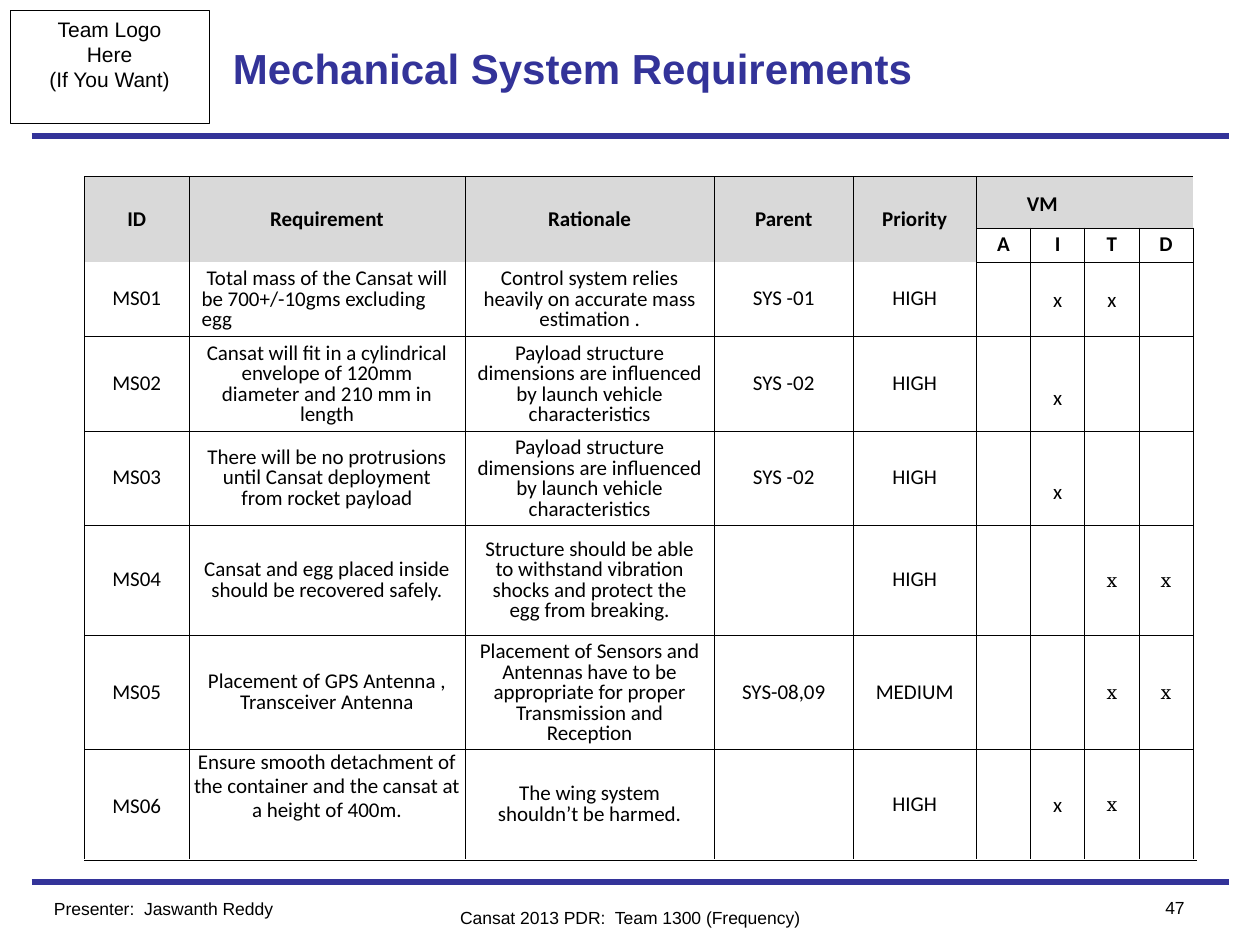
"""Build the mechanical system requirements slide."""
from lxml.etree import SubElement as Sub
from pptx import Presentation
from pptx.dml.color import RGBColor
from pptx.enum.shapes import MSO_CONNECTOR as Link, MSO_SHAPE as Shape
from pptx.enum.text import MSO_ANCHOR as Anchor, PP_ALIGN as Align
from pptx.oxml.ns import qn
from pptx.util import Inches, Pt

BLACK = RGBColor(0x00, 0x00, 0x00)
BLUE = RGBColor(0x33, 0x33, 0x99)
GRAY = RGBColor(0xD9, 0xD9, 0xD9)
PLAIN = "{2D5ABB26-0587-4C30-8999-92F81FD0307C}"

HEADS = ["ID", "Requirement", "Rationale", "Parent", "Priority"]
MODES = "AITD"
LAUNCH = "Payload structure dimensions are influenced by launch vehicle characteristics"
ROWS = [
    ("MS01", "Total mass of the Cansat will be 700+/-10gms excluding egg",
     "Control system relies heavily on accurate mass estimation .",
     "SYS -01", "HIGH", "IT"),
    ("MS02", "Cansat will fit in a cylindrical envelope of 120mm diameter and 210 mm in length",
     LAUNCH, "SYS -02", "HIGH", "I"),
    ("MS03", "There will be no protrusions until Cansat deployment from rocket payload",
     LAUNCH, "SYS -02", "HIGH", "I"),
    ("MS04", "Cansat and egg placed inside should be recovered safely.",
     "Structure should be able to withstand vibration shocks and protect the egg from breaking.",
     "", "HIGH", "TD"),
    ("MS05", "Placement of GPS Antenna , Transceiver Antenna",
     "Placement of Sensors and Antennas have to be appropriate for proper Transmission and Reception",
     "SYS-08,09", "MEDIUM", "TD"),
    ("MS06", "Ensure smooth detachment of the container and the cansat at a height of 400m.",
     "The wing system shouldn’t be harmed.", "", "HIGH", "IT"),
]
WIDTHS = [0.83, 2.19, 1.98, 1.1, 0.98] + [0.43] * 4
HEIGHTS = [0.41, 0.27, 0.59, 0.75, 0.75, 0.87, 0.91, 0.87]
LOGO = ["Team Logo", "Here", "(If You Want)"]
NOTES = [
    ("47", (8.75, 7.07, 0.75, 0.27), Align.RIGHT),
    ("Cansat 2013 PDR:  Team 1300 (Frequency)", (3, 7.15, 4, 0.27), Align.CENTER),
    ("Presenter:  Jaswanth Reddy", (0.33, 7.08, 2.5, 0.27), Align.LEFT),
]
RULES = [(0.25, 7, 9.75, 7), (0.25, 1.08, 9.75, 1.08)]
EDGES = [(0.67, 6.83, 9.5, 6.83), (7.75, 1.67, 7.75, 2.17)]


def write(par, text, size, color=BLACK, face="Arial", bold=False, align=Align.CENTER):
    par.alignment = align
    run = par.add_run()
    run.text = text
    font = run.font
    font.name, font.size, font.bold = face, Pt(size), bold
    font.color.rgb = color


def label(slide, text, box, size, align, **look):
    frame = slide.shapes.add_textbox(*map(Inches, box)).text_frame
    frame.word_wrap = True
    write(frame.paragraphs[0], text, size, align=align, **look)
    return frame


def line(slide, ends, color, width):
    rule = slide.shapes.add_connector(Link.STRAIGHT, *map(Inches, ends))
    rule.line.color.rgb = color
    rule.line.width = Pt(width)
    Sub(rule._element.spPr, qn("a:effectLst"))


def border(cell, sides):
    props = cell._tc.get_or_add_tcPr()
    for spot, side in enumerate(s for s in "LRTB" if s in sides):
        edge = Sub(props, qn("a:ln" + side), w=str(Pt(0.45)))
        Sub(Sub(edge, qn("a:solidFill")), qn("a:srgbClr"), val=str(BLACK))
        props.insert(spot, edge)


def fill(cell, text, sides, shade=None, bold=False, face="Calibri",
         gap=0.8, pad=(0.1, 0.06, 0.1, 0.05), align=Align.CENTER):
    if shade:
        cell.fill.solid()
        cell.fill.fore_color.rgb = shade
    else:
        cell.fill.background()
    border(cell, sides)
    cell.vertical_anchor = Anchor.MIDDLE
    (cell.margin_left, cell.margin_top,
     cell.margin_right, cell.margin_bottom) = map(Inches, pad)
    par = cell.text_frame.paragraphs[0]
    par.line_spacing = gap
    if text:
        write(par, text, 12, face=face, bold=bold, align=align)
    else:
        par.font.size = Pt(12)


def grid(slide):
    frame = slide.shapes.add_table(
        len(HEIGHTS), len(WIDTHS), Inches(0.67), Inches(1.4),
        Inches(sum(WIDTHS)), Inches(sum(HEIGHTS)))
    table = frame.table
    table._tbl.tblPr.find(qn("a:tableStyleId")).text = PLAIN
    table.first_row = table.horz_banding = False
    for col, wide in zip(table.columns, WIDTHS):
        col.width = Inches(wide)
    for row, high in zip(table.rows, HEIGHTS):
        row.height = Inches(high)

    split = len(HEADS)
    for col, head in enumerate(HEADS):
        fill(table.cell(0, col), head, "LTR", GRAY, True)
        fill(table.cell(1, col), "", "LR", GRAY)
        table.cell(0, col).merge(table.cell(1, col))
    fill(table.cell(0, split), "VM", "LTB", GRAY, True,
         pad=(0.4, 0.1, 0.1, 0.05), align=Align.LEFT)
    for col in range(split + 1, len(WIDTHS)):
        fill(table.cell(0, col), "", "T", GRAY)
    table.cell(0, split).merge(table.cell(0, len(WIDTHS) - 1))
    for col, mode in enumerate(MODES, split):
        fill(table.cell(1, col), mode, "TRB" if mode == "A" else "LRB", bold=True)

    for row, (*words, marks) in enumerate(ROWS, 2):
        name = words[0]
        sides = "LTR" if name == "MS06" else "LRB"
        for col, text in enumerate(words):
            fill(table.cell(row, col), text, sides)
        for col, mode in enumerate(MODES, split):
            serif = mode in "TD" and name != "MS01"
            low = name in ("MS02", "MS03") and mode == "I"
            fill(table.cell(row, col), "x" if mode in marks else "", sides,
                 face="Cambria" if serif else "Calibri", gap=0.95,
                 pad=(0.1, 0.28 if low else 0.06, 0.1, 0.05))

    mass = table.cell(2, 1).text_frame.paragraphs[0]
    mass.alignment = Align.LEFT
    mass._p.get_or_add_pPr().set("indent", str(Inches(0.04)))
    last = table.cell(len(HEIGHTS) - 1, 1)
    last.vertical_anchor = Anchor.TOP
    last.margin_left = last.margin_right = last.margin_bottom = 0
    last.margin_top = Inches(0.01)
    last.text_frame.paragraphs[0].line_spacing = 0.93
    table.cell(len(HEIGHTS) - 1, 0).margin_top = Inches(0.1)


def main():
    deck = Presentation()
    deck.slide_width, deck.slide_height = Inches(10), Inches(7.5)
    slide = deck.slides.add_slide(deck.slide_layouts[6])
    for ends in RULES:
        line(slide, ends, BLUE, 3)

    logo = slide.shapes.add_shape(Shape.RECTANGLE, *map(Inches, (0.08, 0.08, 1.58, 0.9)))
    logo.shadow.inherit = False
    logo.fill.background()
    logo.line.color.rgb = BLACK
    logo.line.width = Pt(0.5)
    frame = logo.text_frame
    frame.word_wrap = False
    frame.vertical_anchor = Anchor.TOP
    for spot, text in enumerate(LOGO):
        write(frame.add_paragraph() if spot else frame.paragraphs[0], text, 12)

    title = label(slide, "Mechanical System Requirements", (1.75, 0.08, 6.5, 0.92),
                  24, Align.LEFT, color=BLUE, bold=True)
    title.vertical_anchor = Anchor.MIDDLE
    grid(slide)
    for ends in EDGES:
        line(slide, ends, BLACK, 1)
    for text, box, align in NOTES:
        label(slide, text, box, 10, align)
    deck.save("out.pptx")


if __name__ == "__main__":
    main()
